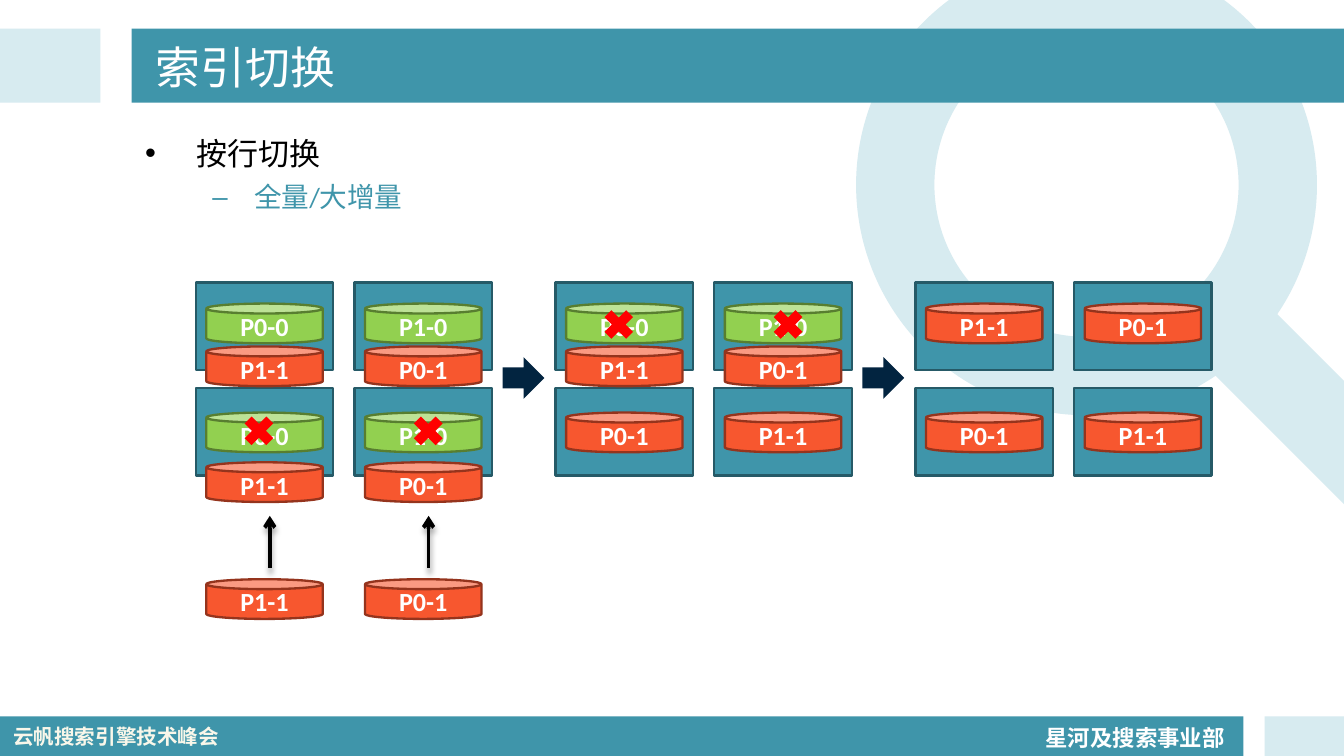
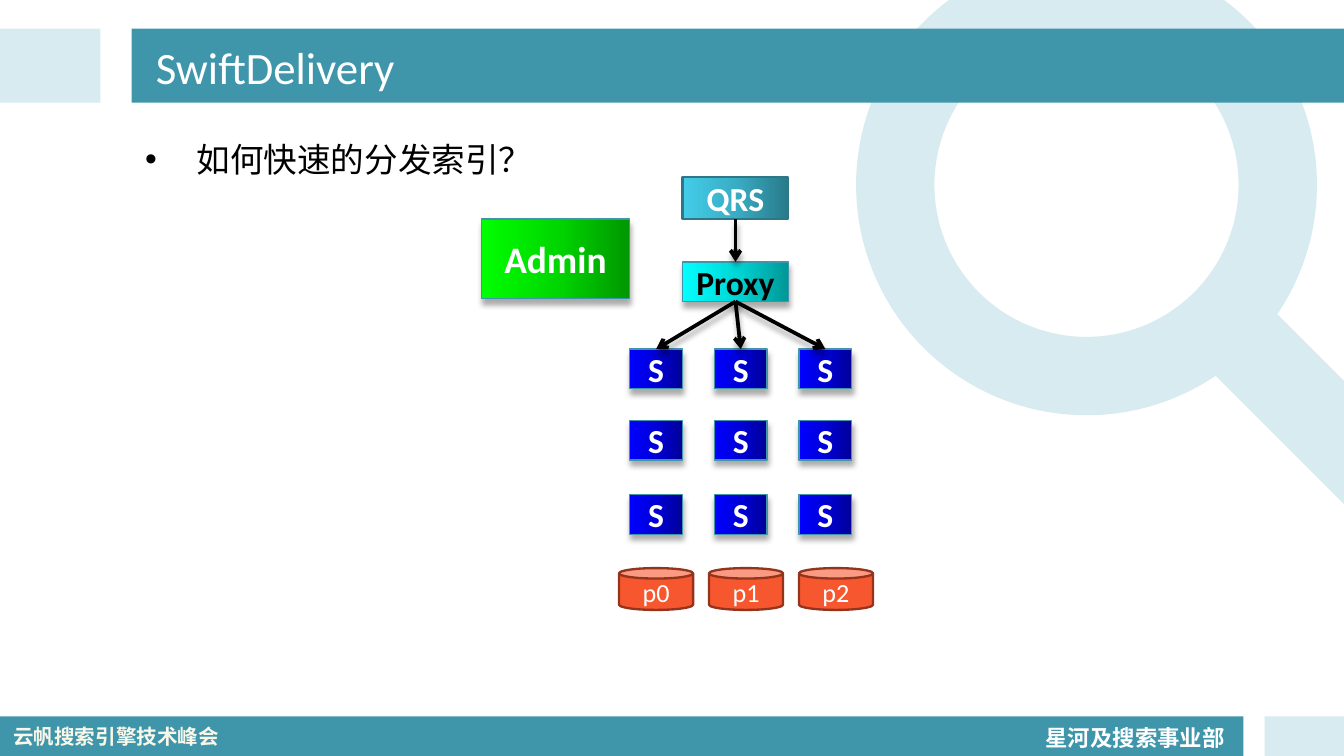
"""Build two slides on index switching and index distribution."""
from dataclasses import dataclass

from pptx import Presentation
from pptx.dml.color import RGBColor
from pptx.enum import shapes, text
from pptx.oxml import ns, parse_xml
from pptx.util import Cm, Pt

KIND = shapes.MSO_SHAPE


@dataclass(frozen=True)
class Theme:
    teal: str = "3F95AA"
    pale: str = "D7EBF0"
    teal_edge: str = "265A67"
    white: str = "FFFFFF"
    cream: str = "F9F7EA"
    black: str = "000000"
    red: str = "FF0000"
    navy: str = "022440"
    old_index: tuple = ("92D050", "587E30")
    new_index: tuple = ("F7572F", "95341D")
    blue_fade: tuple = ("000097", "0000D7", "0000FF")
    cyan_fade: tuple = ("009797", "00D7D7", "00FFFF")
    green_fade: tuple = ("009700", "00D700", "00FF00")
    steel_fade: tuple = ("287A8A", "39ADC4", "43CDE9")
    steel_edge: str = "2F7786"
    font: str = "Calibri"
    cjk_font: str = "Noto Sans CJK SC"
    title_size: float = 24
    question_size: float = 18
    topic_size: float = 16.6
    detail_size: float = 14.8
    admin_size: float = 20
    node_size: float = 18
    index_size: float = 14
    unit_size: float = 12
    event_size: float = 11
    edge: float = 1.25
    thin_edge: float = 0.75
    arrow: float = 2


def xml(markup):
    """Parse markup that uses the drawing namespace."""
    return parse_xml(f"<a:wrap {ns.nsdecls('a')}>{markup}</a:wrap>")[0]


class Painter:
    """Hold the style and the current slide, and draw each kind of element."""

    def __init__(self, deck, theme):
        self.deck, self.theme, self.page = deck, theme, None

    def new_page(self):
        """Start a slide with a title and a list."""
        self.page = self.deck.slides.add_slide(self.deck.slide_layouts[1])

    def style(self, para, size, color, bold=False, font=None):
        """Set the font of a paragraph."""
        para.font.name = font or self.theme.font
        para.font.size = Pt(size)
        para.font.bold = bold
        para.font.color.rgb = RGBColor.from_string(color)

    def place(self, box, at):
        """Move and size a placeholder."""
        box.left, box.top, box.width, box.height = map(Cm, at)

    def effects(self, item, shadow):
        """Give an element a soft shadow or none."""
        inner = ('<a:outerShdw blurRad="38100" dist="38100" dir="4800000" rotWithShape="0">'
                 '<a:srgbClr val="000000"><a:alpha val="32000"/></a:srgbClr>'
                 '</a:outerShdw>') if shadow else ""
        item.element.spPr.append(xml(f"<a:effectLst>{inner}</a:effectLst>"))

    def fade(self, shape, colors):
        """Fill a shape with a gradient that darkens to the right."""
        shape.fill.gradient()
        shape.fill.gradient_angle = 180
        stops = shape.element.xpath(".//a:gsLst")[0]
        stops.clear()
        for place, color in zip((0, 50000, 100000), colors):
            stops.append(xml(f'<a:gs pos="{place}"><a:srgbClr val="{color}"/></a:gs>'))

    def shape(self, kind, at, fill, edge=None, width=None, shadow=False):
        """Draw a preset shape."""
        shape = self.page.shapes.add_shape(kind, *map(Cm, at))
        if isinstance(fill, tuple):
            self.fade(shape, fill)
        else:
            shape.fill.solid()
            shape.fill.fore_color.rgb = RGBColor.from_string(fill)
        if edge:
            shape.line.color.rgb = RGBColor.from_string(edge)
            shape.line.width = Pt(width or self.theme.edge)
        else:
            shape.line.fill.background()
        self.effects(shape, shadow)
        return shape

    def label(self, shape, words, size, color=None, bold=True):
        """Write centred text in a shape."""
        frame = shape.text_frame
        frame.margin_left = frame.margin_right = 0
        frame.vertical_anchor = text.MSO_ANCHOR.MIDDLE
        para = frame.paragraphs[0]
        para.text = words
        para.alignment = text.PP_ALIGN.CENTER
        self.style(para, size, color or self.theme.white, bold)

    def index(self, at, words, bold=True):
        """Draw an index partition, green for the old version."""
        colors = self.theme.old_index if words.endswith("-0") else self.theme.new_index
        self.label(self.shape(KIND.CAN, at, *colors), words, self.theme.index_size, bold=bold)

    def node(self, at, words, fade, size=None, color=None):
        """Draw a server with a gradient and a shadow."""
        shape = self.shape(KIND.RECTANGLE, at, fade, self.theme.teal,
                           self.theme.thin_edge, shadow=True)
        self.label(shape, words, size or self.theme.node_size, color)

    def arrow(self, start, end):
        """Draw a black arrow."""
        line = self.page.shapes.add_connector(
            shapes.MSO_CONNECTOR.STRAIGHT, *map(Cm, (*start, *end)))
        line.line.color.rgb = RGBColor.from_string(self.theme.black)
        line.line.width = Pt(self.theme.arrow)
        line.element.xpath(".//a:ln")[0].append(xml('<a:tailEnd type="arrow"/>'))
        self.effects(line, True)

    def note(self, at, words, size, color, font=None, spacing=1.0, wrap=True):
        """Write a bold line of footer text."""
        box = self.page.shapes.add_textbox(*map(Cm, at))
        box.text_frame.word_wrap = wrap
        box.text_frame.auto_size = text.MSO_AUTO_SIZE.SHAPE_TO_FIT_TEXT
        para = box.text_frame.paragraphs[0]
        para.text = words
        para.line_spacing = spacing
        self.style(para, size, color, True, font)
        return box

    def title(self, words):
        """Write the slide title."""
        box = self.page.shapes.title
        self.place(box, (2.69, 0.58, 21.44, 1.37))
        frame = box.text_frame
        frame.auto_size = text.MSO_AUTO_SIZE.NONE
        frame.vertical_anchor = text.MSO_ANCHOR.MIDDLE
        para = frame.paragraphs[0]
        para.text = words
        para.alignment = text.PP_ALIGN.LEFT
        self.style(para, self.theme.title_size, self.theme.white)

    def bullets(self, at, items, spacing):
        """Write the list, one (words, size) pair for each level."""
        box = self.page.placeholders[1]
        self.place(box, at)
        frame = box.text_frame
        frame.auto_size = text.MSO_AUTO_SIZE.NONE
        levels = ((0.97, 0.97, self.theme.black), (2.06, 0.79, self.theme.teal))
        for level, (words, size) in enumerate(items):
            para = frame.add_paragraph() if level else frame.paragraphs[0]
            para.text = words
            para.level = level
            para.line_spacing = spacing
            indent, hang, color = levels[level]
            self.style(para, size, color)
            props = para._p.get_or_add_pPr()
            props.set("marL", str(Cm(indent)))
            props.set("indent", str(-Cm(hang)))

    def furnish_master(self):
        """Draw the shared bands and footers and move them to the slide master."""
        theme = self.theme
        ring = self.shape(KIND.DONUT, (16.18, -0.86, 8.71, 8.71), theme.pale)
        ring.adjustments[0] = 0.17
        handle = self.shape(KIND.ROUNDED_RECTANGLE, (22, 6.86, 5.44, 1.65), theme.pale)
        handle.adjustments[0] = 0.5
        handle.rotation = 45
        bands = [self.shape(KIND.RECTANGLE, at, color) for at, color in (
            ((0, 13.54, 23.5, 0.75), theme.teal),
            ((23.9, 13.54, 1.5, 0.75), theme.pale),
            ((0, 0.54, 1.9, 1.4), theme.pale),
            ((2.49, 0.54, 22.91, 1.4), theme.teal))]
        unit = self.note((19.51, 13.46, 3.94, 0.84), "星河及搜索事业部",
                         theme.unit_size, theme.white, spacing=1.2, wrap=False)
        event = self.note((0, 13.56, 4.5, 0.74), "云帆搜索引擎技术峰会",
                          theme.event_size, theme.cream, theme.cjk_font)
        tree = self.deck.slide_master.shapes.element
        for number, item in enumerate((ring, handle, *bands, unit, event)):
            item.element.xpath(".//p:cNvPr")[0].set("id", str(100 + number))
            tree.insert(2 + number, item.element)


def draw_switching(painter):
    """Draw the three stages of switching an index row by row."""
    theme = painter.theme
    painter.title("索引切换")
    painter.bullets((2.49, 2.34, 6.6, 2), (("按行切换", theme.topic_size),
                                           ("全量/大增量", theme.detail_size)), 1.1)
    old, new, swapped = ("P0-0", "P1-0"), ("P0-1", "P1-1"), ("P1-1", "P0-1")
    stages = (
        (((5.74, old), (6.55, swapped), (7.8, old), (8.74, swapped), (10.95, swapped)), 7.75),
        (((5.74, old), (6.55, swapped), (7.8, new)), 5.74),
        (((5.74, swapped), (7.8, new)), None))
    column = 3
    for number, (rows, cross_top) in enumerate(stages):
        left = 3.7 + 6.8 * number
        for top in (5.34, 7.34):
            for side in range(2):
                painter.shape(KIND.RECTANGLE, (left + column * side, top, 2.6, 1.65),
                              theme.teal, theme.teal_edge)
        for top, names in rows:
            for side, name in enumerate(names):
                painter.index((left + 0.2 + column * side, top, 2.2, 0.75), name)
        if cross_top:
            for side in range(2):
                painter.shape(KIND.MATH_MULTIPLY,
                              (left + 0.8 + 3.2 * side, cross_top, 0.79, 0.79), theme.red)
            painter.shape(KIND.RIGHT_ARROW, (left + 5.8, 6.75, 0.79, 0.79), theme.navy)
    for x in (5.1, 5.1 + column):
        painter.arrow((x, 10.74), (x, 9.75))


def draw_distribution(painter):
    """Draw the tree of servers that receive the index."""
    theme = painter.theme
    painter.title("SwiftDelivery")
    painter.bullets((2.49, 2.34, 21.64, 10.41),
                    (("如何快速的分发索引？", theme.question_size),), 1.2)
    query = painter.shape(KIND.RECTANGLE, (12.9, 3.35, 2, 0.79),
                          theme.steel_fade, theme.steel_edge)
    painter.label(query, "QRS", theme.node_size)
    painter.node((12.9, 4.95, 2, 0.75), "Proxy", theme.cyan_fade, color=theme.black)
    painter.node((9.1, 4.14, 2.8, 1.5), "Admin", theme.green_fade, theme.admin_size)
    columns = [11.9 + 1.6 * number for number in range(3)]
    for top in (6.6, 7.95, 9.35):
        for left in columns:
            painter.node((left, top, 1, 0.75), "S", theme.blue_fade)
    painter.arrow((13.9, 4.14), (13.9, 4.95))
    for number, left in enumerate(columns):
        painter.arrow((13.9, 5.7), (left + 0.5, 6.6))
        painter.index((11.7 + 1.7 * number, 10.74, 1.4, 0.79), f"p{number}", bold=False)


def main():
    """Build and save the deck."""
    deck = Presentation()
    deck.slide_width, deck.slide_height = Cm(25.4), Cm(14.29)
    painter = Painter(deck, Theme())
    painter.new_page()
    painter.furnish_master()
    draw_switching(painter)
    painter.new_page()
    draw_distribution(painter)
    deck.save("out.pptx")


if __name__ == "__main__":
    main()
